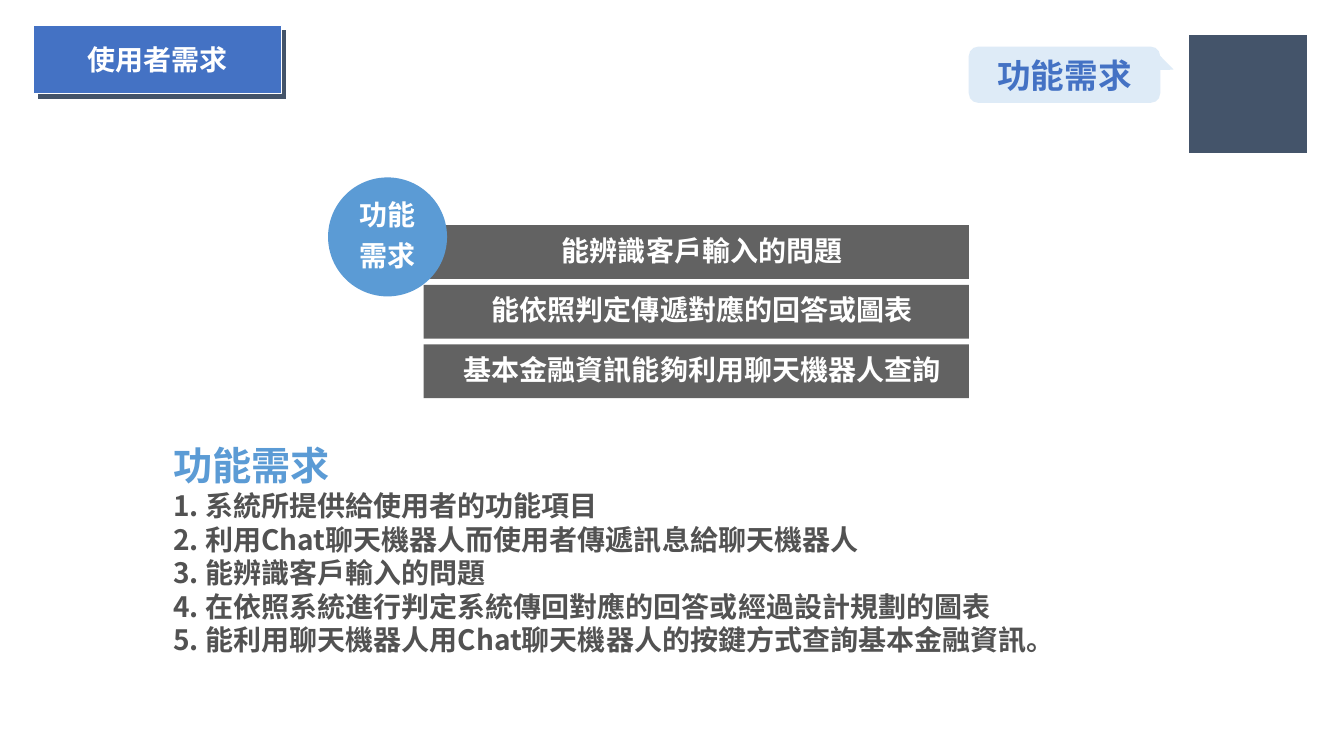
"""Build the slide on functional requirements of a chat robot."""
from lxml import etree
from pptx import Presentation
from pptx.dml.color import RGBColor
from pptx.enum.shapes import MSO_SHAPE
from pptx.enum.text import MSO_ANCHOR, PP_ALIGN
from pptx.oxml.ns import qn
from pptx.util import Pt

RECT, OVAL = MSO_SHAPE.RECTANGLE, MSO_SHAPE.OVAL
PROC, CALL = MSO_SHAPE.FLOWCHART_PROCESS, MSO_SHAPE.ROUNDED_RECTANGULAR_CALLOUT
TOP, MID = MSO_ANCHOR.TOP, MSO_ANCHOR.MIDDLE
LEFT, MIDDLE = PP_ALIGN.LEFT, PP_ALIGN.CENTER
FONT = "Noto Sans CJK SC"
WHITE, NAVY, BLUE, SKY, PALE, GRAY = (
    "FFFFFF", "44546A", "4472C4", "5B9BD5", "DEEBF7", "525252")

TITLE = "使用者需求"
TOPIC = "功能需求"
BADGE = ["功能", "需求"]
GOALS = [
    "能辨識客戶輸入的問題",
    "能依照判定傳遞對應的回答或圖表",
    "基本金融資訊能夠利用聊天機器人查詢",
]
NEEDS = [
    "系統所提供給使用者的功能項目",
    "利用Chat聊天機器人而使用者傳遞訊息給聊天機器人",
    "能辨識客戶輸入的問題",
    "在依照系統進行判定系統傳回對應的回答或經過設計規劃的圖表",
    "能利用聊天機器人用Chat聊天機器人的按鍵方式查詢基本金融資訊。",
]
TAG = (24, 18, 177, 49)
DROP = 3.5
BAR = (302.5, 160.8, 389.5, 38.4)
STEP = 42.6


def paint(fmt, tone):
    """Give a fill a solid colour from a hex string."""
    fmt.solid()
    fmt.fore_color.rgb = RGBColor.from_string(tone)


def place(shape, box):
    """Set the left, top, width and height in points."""
    shape.left, shape.top, shape.width, shape.height = map(Pt, box)


def draw(kind, box, tone):
    """Add a flat preset shape without an outline."""
    shape = slide.shapes.add_shape(kind, *map(Pt, box))
    shape.shadow.inherit = False
    paint(shape.fill, tone)
    shape.line.fill.background()
    return shape


def write(shape, lines, size=20, tone=WHITE, align=MIDDLE, anchor=MID,
          pad=(7.2, 3.6, 7.2, 3.6), space=1, after=0, head=None):
    """Fill a shape with bold lines; head is the size and colour of the first."""
    frame = shape.text_frame
    frame.word_wrap = True
    frame.vertical_anchor = anchor
    (frame.margin_left, frame.margin_top,
     frame.margin_right, frame.margin_bottom) = map(Pt, pad)
    for n, line in enumerate(lines):
        para = frame.add_paragraph() if n else frame.paragraphs[0]
        para.alignment, para.line_spacing = align, space
        para.space_before, para.space_after = Pt(0), Pt(after)
        run = para.add_run()
        run.text = line
        points, color = head if head and n == 0 else (size, tone)
        run.font.size, run.font.bold, run.font.name = Pt(points), True, FONT
        paint(run.font.fill, color)
        etree.SubElement(run._r.get_or_add_rPr(), qn("a:ea"), typeface=FONT)


deck = Presentation()
deck.slide_width, deck.slide_height = Pt(960), Pt(540)
slide = deck.slides.add_slide(deck.slide_layouts[5])

left, top, width, height = TAG
draw(PROC, (left + DROP, top + DROP, width, height), NAVY)
title = slide.shapes.title
title.element.getparent().append(title.element)
place(title, TAG)
paint(title.fill, BLUE)
paint(title.line.fill, WHITE)
title.line.width = Pt(1)
write(title, [TITLE])

draw(PROC, (849.5, 25, 84, 84), NAVY)
call = draw(CALL, (692, 33.3, 136.8, 40.2), PALE)
for n, value in enumerate((0.57, -0.09, 0.17)):
    call.adjustments[n] = value
write(call, [TOPIC], size=24, tone=BLUE)

left, top, width, height = BAR
for n, goal in enumerate(GOALS):
    bar = draw(RECT, (left, top + n * STEP, width, height), GRAY)
    shade = next(bar.element.spPr.iter(qn("a:srgbClr")))
    etree.SubElement(shade, qn("a:alpha"), val="90000")
    write(bar, [goal], pad=(23, 14.4, 14.4, 14.4), space=0.9, after=7)

badge = draw(OVAL, (234.3, 126.7, 85, 85), SKY)
write(badge, BADGE, pad=(0, 0, 0, 0), space=0.9, after=7)

notes = slide.shapes.add_textbox(*map(Pt, (116.6, 311.8, 756.7, 162.7)))
items = [f"{n}. {need}" for n, need in enumerate(NEEDS, 1)]
write(notes, [TOPIC] + items, tone=GRAY, align=LEFT, anchor=TOP, head=(28, SKY))

deck.save("out.pptx")
